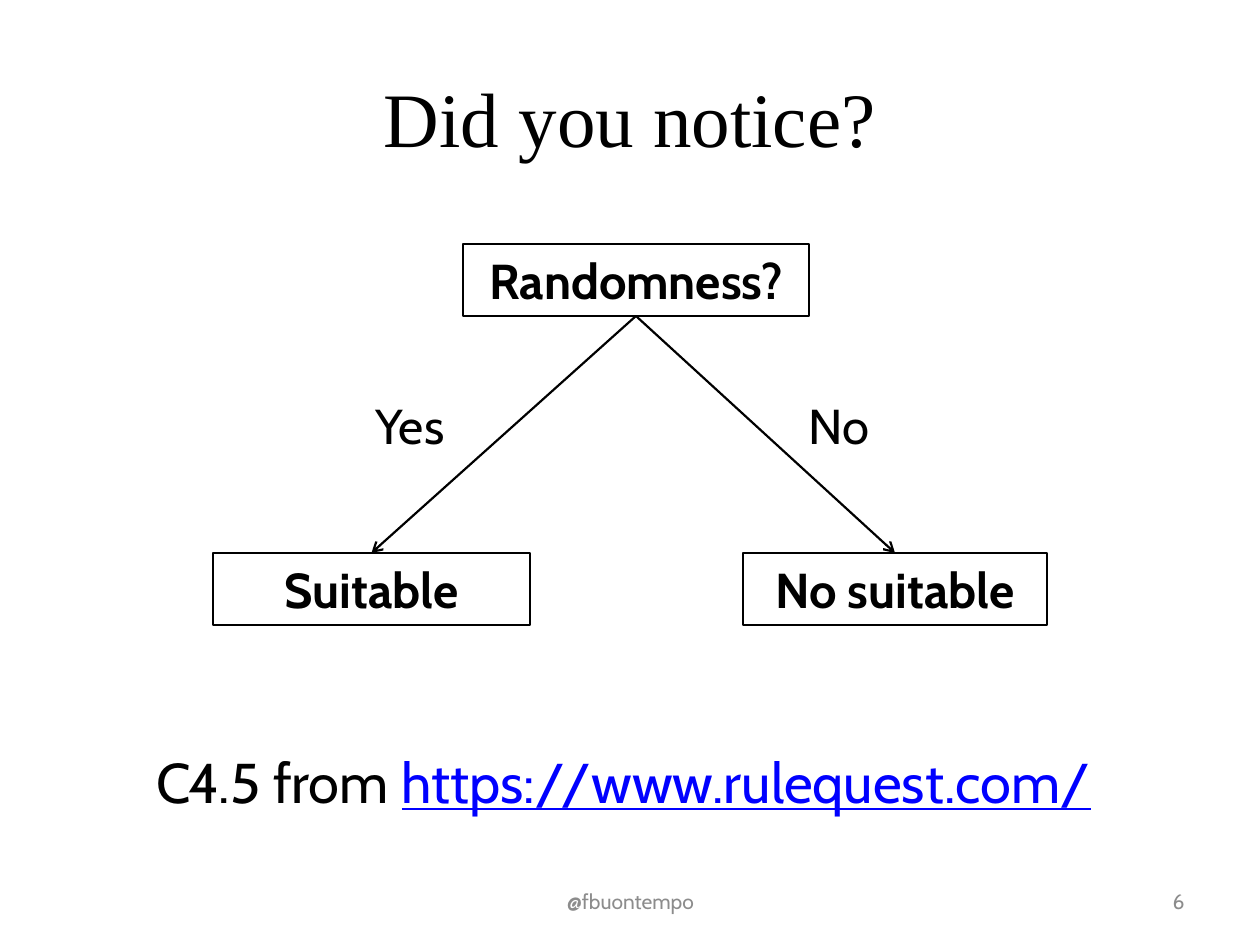
from lxml.etree import SubElement
from pptx import Presentation
from pptx.dml.color import RGBColor
from pptx.enum.shapes import MSO_CONNECTOR, MSO_SHAPE
from pptx.enum.text import MSO_ANCHOR, MSO_AUTO_SIZE, PP_ALIGN
from pptx.oxml.ns import qn
from pptx.util import Emu, Inches, Pt

INK = {"black": "000000", "link": "0000FF", "gray": "8C8C8C"}
SERIF, SANS = "Times New Roman", "Cabin"
LEFT, MID, RIGHT = PP_ALIGN.LEFT, PP_ALIGN.CENTER, PP_ALIGN.RIGHT
TOP, CENTER = MSO_ANCHOR.TOP, MSO_ANCHOR.MIDDLE
BOTTOM_SITE, TOP_SITE = 2, 0


def px(n):
    return Emu(round(n * 914400 / 126))


def hue(name):
    return RGBColor.from_string(INK[name])


class Deck:
    def __init__(self):
        self.prs = Presentation()
        self.prs.slide_width, self.prs.slide_height = Inches(10), Inches(7.5)
        self.slide = self.prs.slides.add_slide(self.prs.slide_layouts[1])
        self.shapes = self.slide.shapes

    def put(self, shape, runs, size, font=SANS, align=LEFT, anchor=TOP, bold=False):
        """Fill a shape with one paragraph of (text, colour) runs."""
        frame = shape.text_frame
        frame.word_wrap = True
        frame.auto_size = MSO_AUTO_SIZE.NONE
        frame.vertical_anchor = anchor
        para = frame.paragraphs[0]
        para.alignment = align
        for text, color in runs:
            run = para.add_run()
            run.text = text
            run.font.name, run.font.size = font, Pt(size)
            run.font.bold = bold
            run.font.underline = color == "link"
            run.font.color.rgb = hue(color)
        return para

    def place(self, shape, x, y, w, h):
        shape.left, shape.top, shape.width, shape.height = map(px, (x, y, w, h))

    def title(self, text, *area):
        shape = self.shapes.title
        self.place(shape, *area)
        self.put(shape, [(text, "black")], 44, SERIF, MID, CENTER)

    def body(self, runs, *area):
        shape = self.slide.placeholders[1]
        self.place(shape, *area)
        para = self.put(shape, runs, 32, align=MID)
        props = para._p.get_or_add_pPr()
        props.set("marL", "0")
        props.set("indent", "0")
        SubElement(props, qn("a:buNone"))
        para.space_before = Pt(0)

    def label(self, text, x, y, w, h, size=28, color="black", align=LEFT, anchor=TOP):
        box = self.shapes.add_textbox(*map(px, (x, y, w, h)))
        self.put(box, [(text, color)], size, align=align, anchor=anchor)

    def node(self, text, x, y, w, h=72):
        box = self.shapes.add_shape(MSO_SHAPE.RECTANGLE, *map(px, (x, y, w, h)))
        box.shadow.inherit = False
        box.fill.background()
        self.stroke(box)
        self.put(box, [(text, "black")], 28, align=MID, bold=True)
        return box

    def stroke(self, shape):
        shape.line.color.rgb = hue("black")
        shape.line.width = Pt(1.25)

    def arrow(self, start, end):
        link = self.shapes.add_connector(MSO_CONNECTOR.STRAIGHT, 0, 0, 0, 0)
        link.begin_connect(start, BOTTOM_SITE)
        link.end_connect(end, TOP_SITE)
        self.stroke(link)
        props = link._element.spPr
        SubElement(props.find(qn("a:ln")), qn("a:tailEnd"), type="arrow")
        SubElement(props, qn("a:effectLst"))


def main():
    deck = Deck()

    # Title and source line
    deck.title("Did you notice?", 63, 38, 1134, 158)
    deck.body([("C4.5 from ", "black"), ("https://www.rulequest.com/", "link"),
               (" ", "black")], 63, 741, 1134, 103)

    # Decision tree
    root = deck.node("Randomness?", 463, 244, 346)
    for text, x, w in (("Suitable", 213, 317), ("No suitable", 743, 304)):
        deck.arrow(root, deck.node(text, x, 553, w))
    deck.label("Yes", 363, 389, 159, 108)
    deck.label("No", 796, 389, 132, 108)

    # Footer
    deck.label("@fbuontempo", 431, 876, 399, 50, 12, "gray", MID, CENTER)
    deck.label("6", 903, 876, 294, 50, 12, "gray", RIGHT, CENTER)

    deck.prs.save("out.pptx")


if __name__ == "__main__":
    main()
